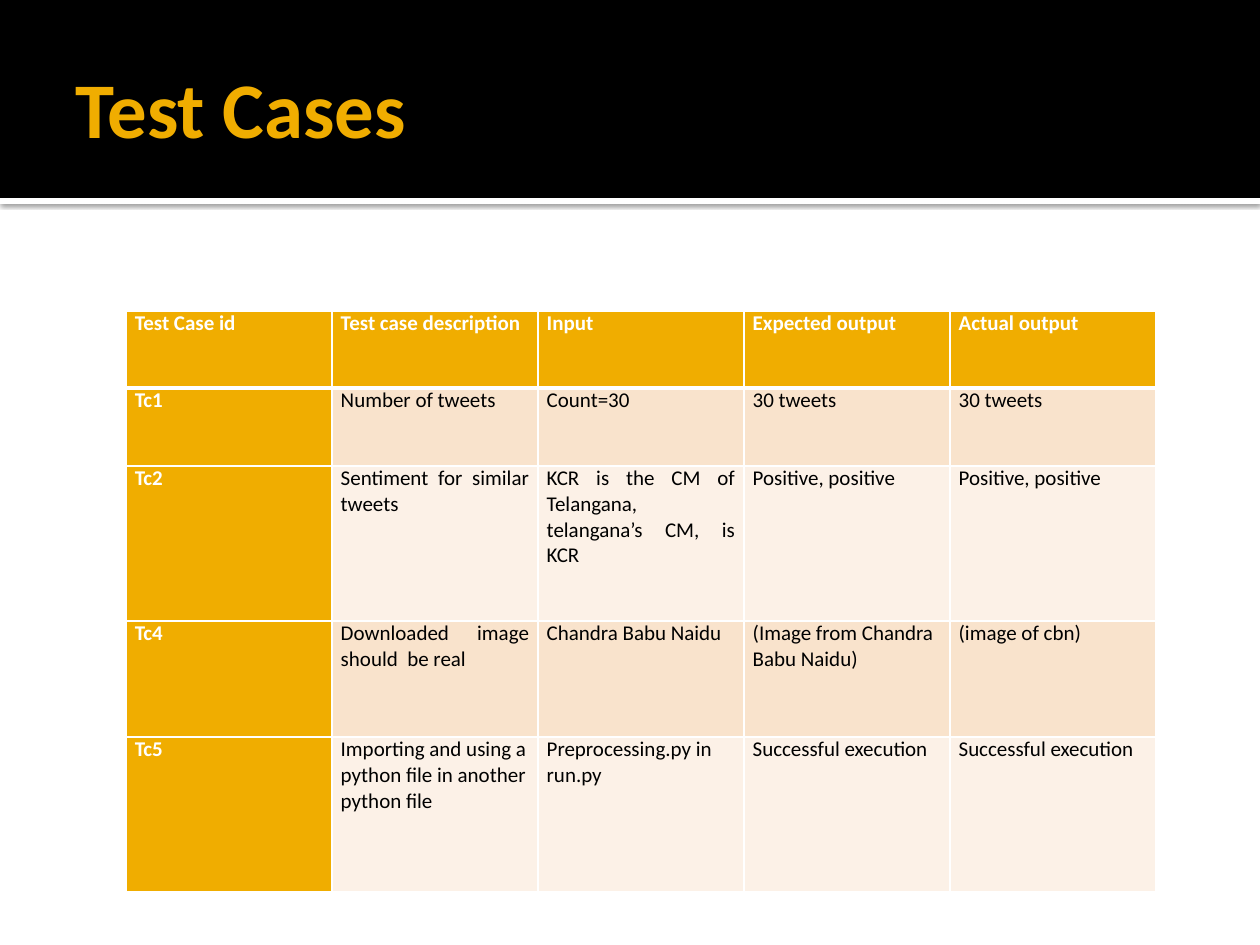
from lxml import etree
from pptx import Presentation
from pptx import util as u
from pptx.dml.color import RGBColor
from pptx.enum import shapes, text
from pptx.oxml import parse_xml
from pptx.oxml.ns import nsdecls, qn

EMU_PER_PX = 914400 / 126
GOLD, WHITE, BLACK = "F0AD00", "FFFFFF", "000000"
BANDS = ("F9E3CC", "FCF1E7")

HEADINGS = ["Test Case id", "Test case description", "Input",
            "Expected output", "Actual output"]
TEST_CASES = [
    ["Tc1", "Number of tweets", "Count=30", "30 tweets", "30 tweets"],
    ["Tc2", "Sentiment for similar tweets",
     "KCR is the CM of Telangana,  telangana’s CM, is KCR",
     "Positive, positive", "Positive, positive"],
    ["Tc4", "Downloaded image should  be real", "Chandra Babu Naidu",
     "(Image from Chandra Babu Naidu)", "(image of cbn)"],
    ["Tc5", "Importing and using a python file in another python file",
     "Preprocessing.py in run.py", "Successful execution",
     "Successful execution"],
]
ROW_HEIGHTS = [77, 78, 155, 116, 155]
JUSTIFIED = {(2, 1), (2, 2), (3, 1)}


def px(length):
    return u.Emu(round(length * EMU_PER_PX))


def color(value):
    return RGBColor.from_string(value)


class SlideBuilder:
    """Holds the font and the slide being filled."""

    def __init__(self, slide, font="Calibri"):
        self.slide = slide
        self.font = font

    def add_words(self, paragraph, words, size, ink, bold):
        run = paragraph.add_run()
        run.text = words
        run.font.name = self.font
        run.font.size = u.Pt(size)
        run.font.bold = bold
        run.font.color.rgb = color(ink)

    def band(self, top, height, fill, shadow=False):
        """Draw a full-width bar."""
        shape = self.slide.shapes.add_shape(
            shapes.MSO_SHAPE.RECTANGLE, 0, px(top), px(1260), px(height))
        shape.shadow.inherit = False
        shape.fill.solid()
        shape.fill.fore_color.rgb = color(fill)
        shape.line.fill.background()
        if shadow:
            effects = shape._element.spPr.find(qn("a:effectLst"))
            effects.append(parse_xml(
                f'<a:outerShdw {nsdecls("a")} blurRad="{u.Pt(2.5)}" '
                f'dist="{u.Pt(0.8)}" dir="5400000" rotWithShape="0">'
                f'<a:srgbClr val="{BLACK}"><a:alpha val="60000"/></a:srgbClr>'
                '</a:outerShdw>'))

    def title(self, words, left, top, width, height):
        shape = self.slide.shapes.add_textbox(
            px(left), px(top), px(width), px(height))
        frame = shape.text_frame
        frame.word_wrap = True
        frame.vertical_anchor = text.MSO_ANCHOR.MIDDLE
        frame.margin_left = u.Inches(0.1)
        frame.margin_right = frame.margin_top = frame.margin_bottom = u.Inches(0.05)
        self.add_words(frame.paragraphs[0], words, 45, GOLD, True)

    def borders(self, cell, widths):
        """Set white borders; widths are points for left, right, top, bottom."""
        properties = cell._tc.get_or_add_tcPr()
        for index, (side, width) in enumerate(zip("LRTB", widths)):
            line = etree.Element(qn(f"a:ln{side}"), w=str(u.Pt(width)))
            fill = etree.SubElement(line, qn("a:solidFill"))
            etree.SubElement(fill, qn("a:srgbClr"), val=WHITE)
            properties.insert(index, line)

    def cell(self, cell, words, row, column):
        header = row == 0 or column == 0
        cell.margin_left = cell.margin_right = u.Inches(0.07)
        cell.margin_top = cell.margin_bottom = 0
        cell.fill.solid()
        cell.fill.fore_color.rgb = color(GOLD if header else BANDS[(row - 1) % 2])
        self.borders(cell, (1, 1, 3 if row == 1 else 1, 3 if row == 0 else 1))
        paragraph = cell.text_frame.paragraphs[0]
        if (row, column) in JUSTIFIED:
            paragraph.alignment = text.PP_ALIGN.JUSTIFY
        self.add_words(paragraph, words, 12, WHITE if header else BLACK, header)

    def table(self, rows, left, top, column_width, row_heights):
        columns = len(rows[0])
        table = self.slide.shapes.add_table(
            len(rows), columns, px(left), px(top),
            px(column_width * columns), px(sum(row_heights))).table
        for column in table.columns:
            column.width = px(column_width)
        for row, words in enumerate(rows):
            table.rows[row].height = px(row_heights[row])
            for column, entry in enumerate(words):
                self.cell(table.cell(row, column), entry, row, column)


def main():
    presentation = Presentation()
    presentation.slide_width, presentation.slide_height = px(1260), px(945)
    slide = presentation.slides.add_slide(presentation.slide_layouts[6])
    builder = SlideBuilder(slide)
    builder.band(198, 6, WHITE, shadow=True)
    builder.band(0, 198, BLACK)
    builder.title("Test Cases", 63, 21, 1134, 173)
    builder.table([HEADINGS] + TEST_CASES, 126, 311, 206, ROW_HEIGHTS)
    presentation.save("out.pptx")


if __name__ == "__main__":
    main()
